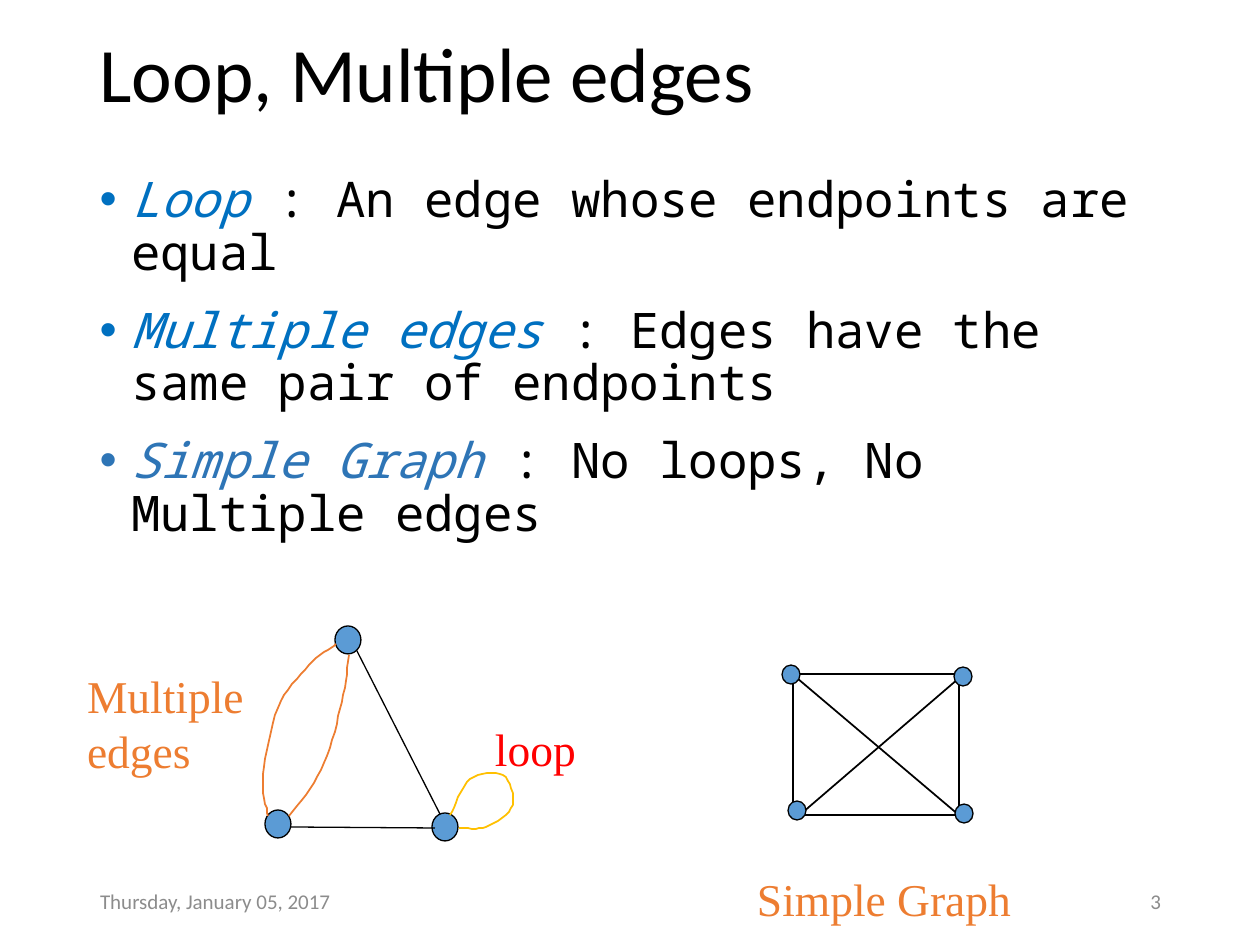
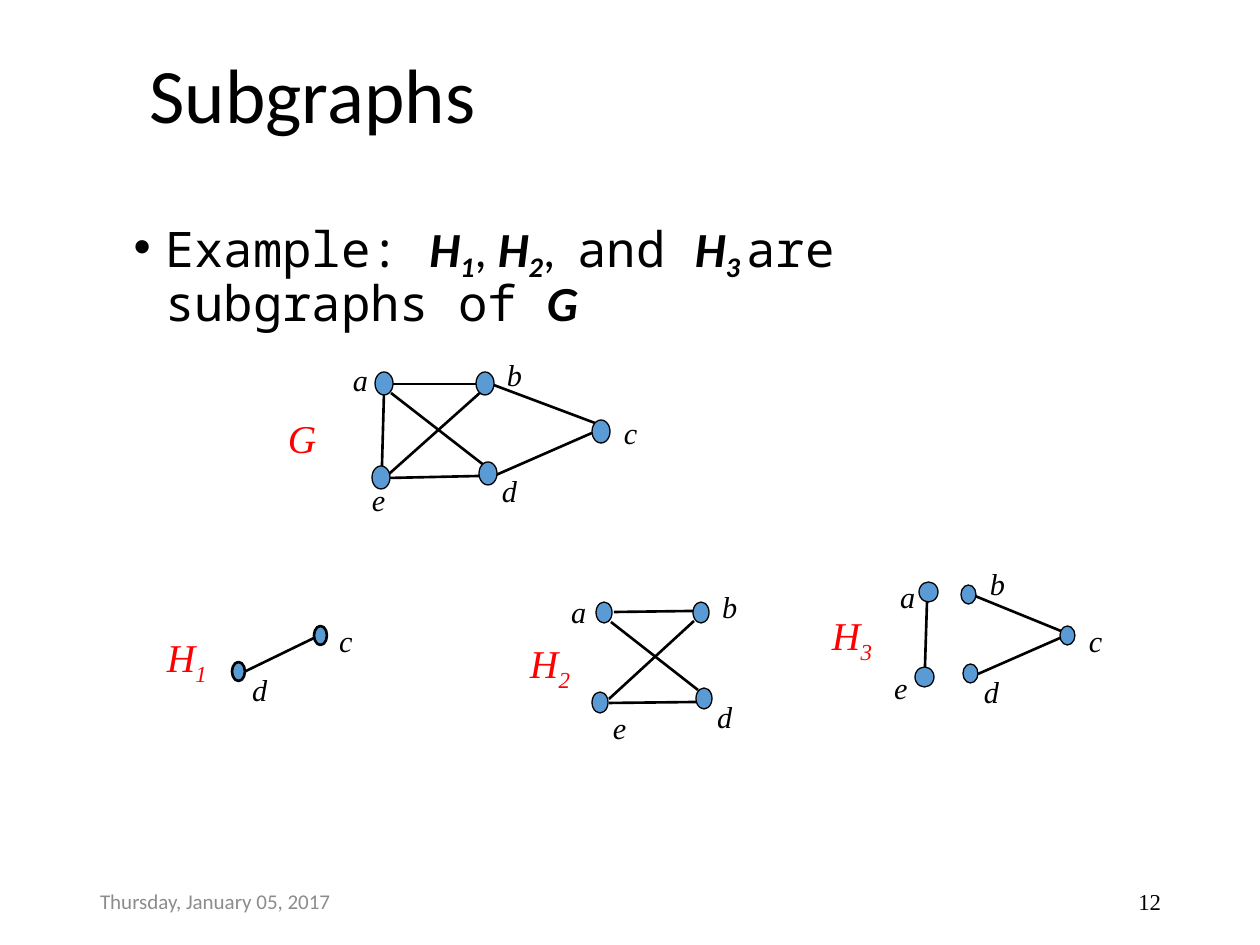
import dataclasses

import lxml.etree
import pptx
import pptx.dml.color
import pptx.enum.shapes
import pptx.enum.text
import pptx.oxml.ns
import pptx.util

SCALE = 914400 / 126
OVAL = pptx.enum.shapes.MSO_SHAPE.OVAL
RECTANGLE = pptx.enum.shapes.MSO_SHAPE.RECTANGLE
STRAIGHT = pptx.enum.shapes.MSO_CONNECTOR.STRAIGHT
ALIGN = pptx.enum.text.PP_ALIGN
MIDDLE = pptx.enum.text.MSO_ANCHOR.MIDDLE
NO_FIT = pptx.enum.text.MSO_AUTO_SIZE.NONE


@dataclasses.dataclass(frozen=True)
class Theme:
    black: str = "000000"
    grey: str = "8C8C8C"
    node: str = "5B9BD5"
    term: str = "0070C0"
    dark_term: str = "2E75B6"
    orange: str = "ED7D31"
    gold: str = "FFC000"
    red: str = "FF0000"
    sans: str = "Calibri"
    mono: str = "Noto Sans Mono"
    serif: str = "Times New Roman"
    title_size: float = 44
    body_size: float = 28
    caption_size: float = 26
    name_size: float = 22.5
    label_size: float = 17.3
    number_size: float = 13
    footer_size: float = 12
    thin: float = 0.75
    medium: float = 1
    thick: float = 1.5


THEME = Theme()


def px(value):
    return pptx.util.Emu(round(value * SCALE))


def rgb(value):
    return pptx.dml.color.RGBColor.from_string(value)


class Deck:
    def __init__(self, theme):
        self.theme = theme
        self.presentation = pptx.Presentation()
        self.presentation.slide_width = px(1260)
        self.presentation.slide_height = px(945)
        self.slide = None

    def add_slide(self):
        layout = self.presentation.slide_layouts[1]
        self.slide = self.presentation.slides.add_slide(layout)

    def place(self, shape, box):
        shape.left, shape.top, shape.width, shape.height = map(px, box)

    def format_run(self, run, font, size, color, bold=False, italic=False, baseline=0):
        run.font.name = font
        run.font.size = pptx.util.Pt(size)
        run.font.color.rgb = rgb(color)
        run.font.bold = bold
        run.font.italic = italic
        if baseline:
            run._r.get_or_add_rPr().set("baseline", str(baseline * 1000))

    def add_run(self, paragraph, text, *style, **options):
        run = paragraph.add_run()
        run.text = text
        self.format_run(run, *style, **options)

    def title(self, text, box):
        shape = self.slide.shapes.title
        self.place(shape, box)
        frame = shape.text_frame
        frame.text = text
        frame.auto_size = NO_FIT
        frame.vertical_anchor = MIDDLE
        paragraph = frame.paragraphs[0]
        paragraph.alignment = ALIGN.LEFT
        paragraph.line_spacing = 0.9
        self.format_run(paragraph.runs[0], self.theme.sans, self.theme.title_size, self.theme.black)

    def bullets(self, items, box):
        shape = self.slide.placeholders[1]
        self.place(shape, box)
        frame = shape.text_frame
        frame.auto_size = NO_FIT
        for index, runs in enumerate(items):
            paragraph = frame.add_paragraph() if index else frame.paragraphs[0]
            paragraph.line_spacing = 0.9
            paragraph.space_before = pptx.util.Pt(self.theme.body_size / 2)
            properties = paragraph._p.get_or_add_pPr()
            indent = pptx.util.Inches(0.25)
            properties.set("marL", str(indent))
            properties.set("indent", str(-indent))
            for text, font, color, options in runs:
                self.add_run(paragraph, text, font, self.theme.body_size, color, **options)

    def text(self, text, box, font, size, color, italic=False, subscript="",
             wrap=True, inset=(13, 6), align=ALIGN.LEFT, anchor=None):
        shape = self.slide.shapes.add_textbox(*map(px, box))
        frame = shape.text_frame
        frame.text = text
        frame.word_wrap = wrap
        frame.margin_left = frame.margin_right = px(inset[0])
        frame.margin_top = frame.margin_bottom = px(inset[1])
        if anchor is not None:
            frame.vertical_anchor = anchor
        for paragraph in frame.paragraphs:
            paragraph.alignment = align
            for run in paragraph.runs:
                self.format_run(run, font, size, color, italic=italic)
        if subscript:
            self.add_run(frame.paragraphs[0], subscript, font, size, color, italic=italic, baseline=-25)

    def caption(self, text, box, color, wrap=False):
        self.text(text, box, self.theme.serif, self.theme.caption_size, color, wrap=wrap, inset=(14, 8))

    def label(self, text, left, top, width):
        self.text(text, (left, top, width, 49), self.theme.serif, self.theme.label_size,
                  self.theme.black, italic=True)

    def graph_name(self, text, left, top, width=117, subscript=""):
        self.text(text, (left, top, width, 60), self.theme.serif, self.theme.name_size,
                  self.theme.red, italic=True, subscript=subscript)

    def footer(self, number, number_style):
        self.text("Thursday, January 05, 2017", (87, 876, 284, 50), self.theme.sans,
                  self.theme.footer_size, self.theme.grey, anchor=MIDDLE)
        self.text(number, (890, 876, 284, 50), *number_style, align=ALIGN.RIGHT, anchor=MIDDLE)

    def outline(self, shape, color, weight, fill=None):
        shape.shadow.inherit = False
        shape.line.color.rgb = rgb(color)
        shape.line.width = pptx.util.Pt(weight)
        if fill:
            shape.fill.solid()
            shape.fill.fore_color.rgb = rgb(fill)
        else:
            shape.fill.background()

    def rectangle(self, box):
        shape = self.slide.shapes.add_shape(RECTANGLE, *map(px, box))
        self.outline(shape, self.theme.black, self.theme.medium)

    def nodes(self, positions, size, weight):
        for position in positions:
            shape = self.slide.shapes.add_shape(OVAL, *map(px, (*position, *size)))
            self.outline(shape, self.theme.black, weight, self.theme.node)

    def edges(self, lines, weight):
        for line in lines:
            connector = self.slide.shapes.add_connector(STRAIGHT, *map(px, line))
            connector.line.color.rgb = rgb(self.theme.black)
            connector.line.width = pptx.util.Pt(weight)
            lxml.etree.SubElement(connector._element.spPr, pptx.oxml.ns.qn("a:effectLst"))

    def curve(self, start, segments, color, steps=8):
        points = []
        current = start
        for first, second, end in segments:
            for step in range(1, steps + 1):
                t = step / steps
                u = 1 - t
                points.append(tuple(
                    u ** 3 * a + 3 * u * u * t * b + 3 * u * t * t * c + t ** 3 * d
                    for a, b, c, d in zip(current, first, second, end)))
            current = end
        builder = self.slide.shapes.build_freeform(*start, scale=SCALE)
        builder.add_line_segments(points, close=False)
        self.outline(builder.convert_to_shape(), color, self.theme.medium)

    def graph(self, nodes, size, edges, labels, label_width, weight=THEME.thin):
        self.edges(edges, self.theme.thick)
        self.nodes(nodes, size, weight)
        for text, left, top in labels:
            self.label(text, left, top, label_width)


def definition(term, meaning, color):
    return [(term + " ", THEME.mono, color, {"italic": True}),
            (": " + meaning, THEME.mono, THEME.black, {})]


def build_loop_slide(deck):
    deck.add_slide()
    deck.title("Loop, Multiple edges", (87, 0, 1086, 156))
    deck.bullets([
        definition("Loop", "An edge whose endpoints are equal", THEME.term),
        definition("Multiple edges", "Edges have the same pair of endpoints", THEME.term),
        definition("Simple Graph", "No loops, No Multiple edges", THEME.dark_term),
    ], (87, 169, 1086, 683))

    deck.caption("Multiple\nedges", (73, 660, 197, 123), THEME.orange)
    deck.nodes([(335, 626), (265, 810), (432, 813)], (26, 28), THEME.thin)
    deck.edges([(291, 827, 435, 828), (357, 651, 440, 814)], THEME.thin)
    deck.curve((336, 644), [
        ((331, 648), (318, 655), (309, 665)),
        ((299, 677), (285, 690), (278, 708)),
        ((271, 726), (265, 756), (263, 774)),
        ((261, 791), (267, 808), (268, 816)),
    ], THEME.orange)
    deck.curve((349, 655), [
        ((347, 673), (345, 689), (340, 709)),
        ((336, 728), (330, 752), (321, 770)),
        ((312, 788), (300, 803), (289, 816)),
    ], THEME.orange)
    deck.curve((450, 815), [
        ((454, 809), (461, 786), (470, 779)),
        ((479, 772), (495, 771), (503, 775)),
        ((510, 780), (515, 796), (513, 805)),
        ((510, 814), (495, 823), (486, 827)),
        ((478, 830), (465, 828), (459, 828)),
    ], THEME.gold)
    deck.caption("loop", (481, 713, 118, 69), THEME.red, wrap=True)

    deck.rectangle((793, 674, 166, 141))
    deck.edges([(791, 673, 960, 816), (795, 819, 958, 679)], THEME.medium)
    deck.nodes([(782, 665), (954, 667), (788, 801), (955, 804)], (18, 19), THEME.thin)
    deck.caption("Simple Graph", (743, 863, 285, 69), THEME.orange)
    deck.footer("3", (THEME.sans, THEME.footer_size, THEME.grey))


def build_subgraph_slide(deck):
    deck.add_slide()
    deck.title("Subgraphs", (137, 23, 985, 152))
    strong = {"bold": True, "italic": True}
    lowered = {**strong, "baseline": -20}
    deck.bullets([[(text, font, THEME.black, options) for text, font, options in [
        ("Example: ", THEME.mono, {}),
        ("H", THEME.sans, strong), ("1", THEME.sans, lowered), (", ", THEME.sans, {}),
        ("H", THEME.sans, strong), ("2", THEME.sans, lowered), (",  ", THEME.sans, {}),
        ("and ", THEME.mono, {}),
        ("H", THEME.sans, strong), ("3 ", THEME.sans, lowered),
        ("are subgraphs of ", THEME.mono, {}), ("G", THEME.sans, strong),
    ]]], (121, 215, 985, 658))

    deck.graph_name("G", 275, 408, 64)
    deck.graph(
        [(375, 372), (476, 372), (592, 420), (479, 462), (372, 466)], (18, 23),
        [(384, 394, 382, 466), (389, 478, 479, 476), (496, 475, 592, 433),
         (491, 384, 595, 423), (393, 384, 480, 384), (389, 474, 482, 391),
         (391, 393, 485, 466)],
        [("a", 340, 355), ("b", 494, 350), ("c", 611, 408), ("d", 489, 466), ("e", 359, 475)], 48)

    deck.graph_name("H", 154, 627, subscript="1")
    deck.graph([(232, 662), (314, 626)], (13, 19), [(244, 672, 314, 638)],
               [("c", 326, 616), ("d", 239, 665)], 34, THEME.thick)

    deck.graph_name("H", 517, 633, subscript="2")
    deck.graph(
        [(596, 602), (693, 602), (696, 688), (592, 692)], (16, 21),
        [(609, 703, 696, 702), (614, 612, 693, 611), (609, 699, 694, 621), (611, 622, 698, 690)],
        [("a", 558, 587), ("b", 709, 582), ("d", 704, 692), ("e", 600, 703)], 46)

    deck.graph_name("H", 819, 605, subscript="3")
    deck.graph([(919, 582), (915, 667)], (19, 20), [(927, 602, 925, 667)],
               [("a", 887, 572), ("e", 881, 663)], 56)
    deck.graph([(961, 585), (1060, 626), (963, 664)], (15, 19),
               [(978, 674, 1060, 638), (975, 596, 1061, 631)],
               [("b", 977, 559), ("c", 1076, 616), ("d", 971, 667)], 40)
    deck.footer("12", (THEME.serif, THEME.number_size, THEME.black))


deck = Deck(THEME)
build_loop_slide(deck)
build_subgraph_slide(deck)
deck.presentation.save("out.pptx")
